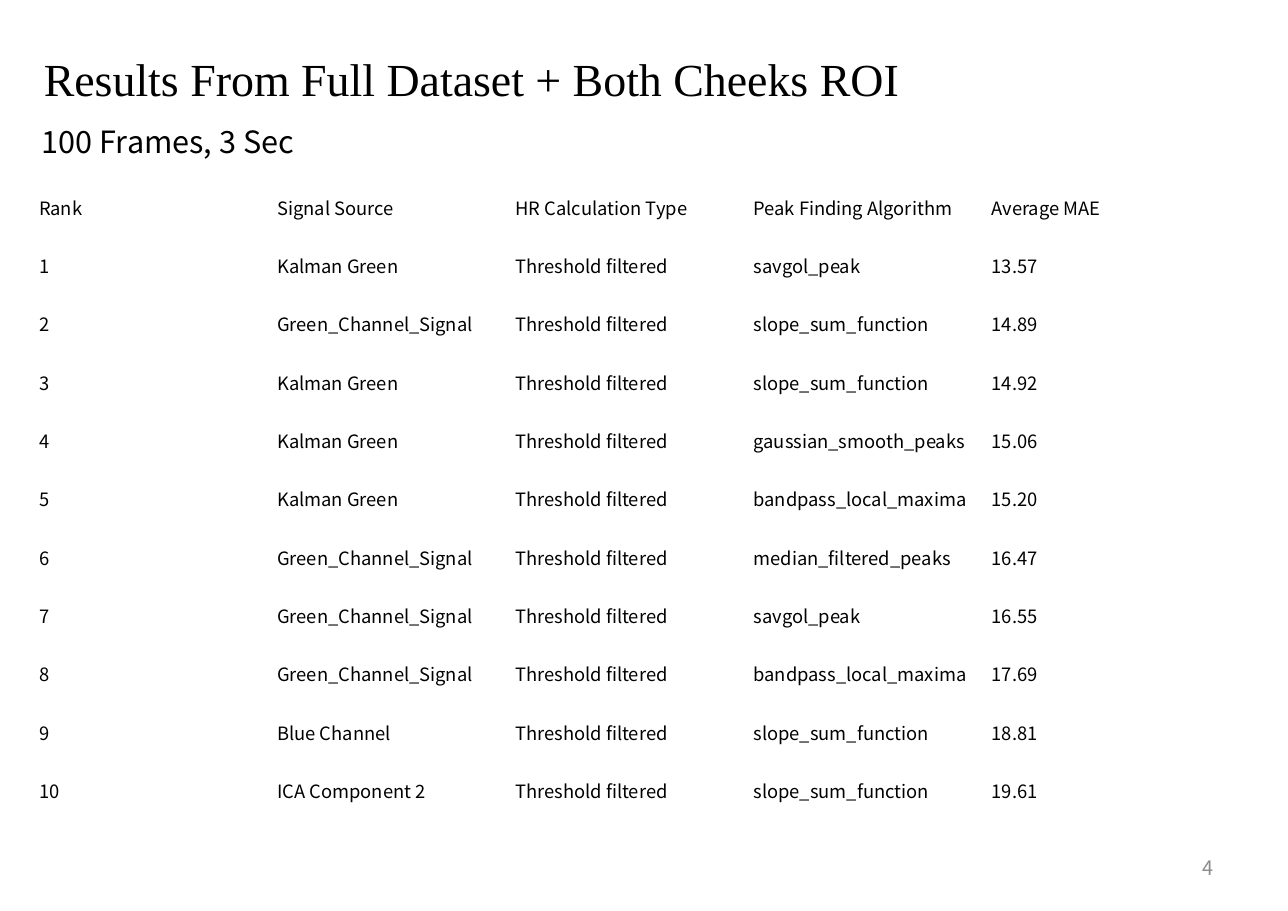
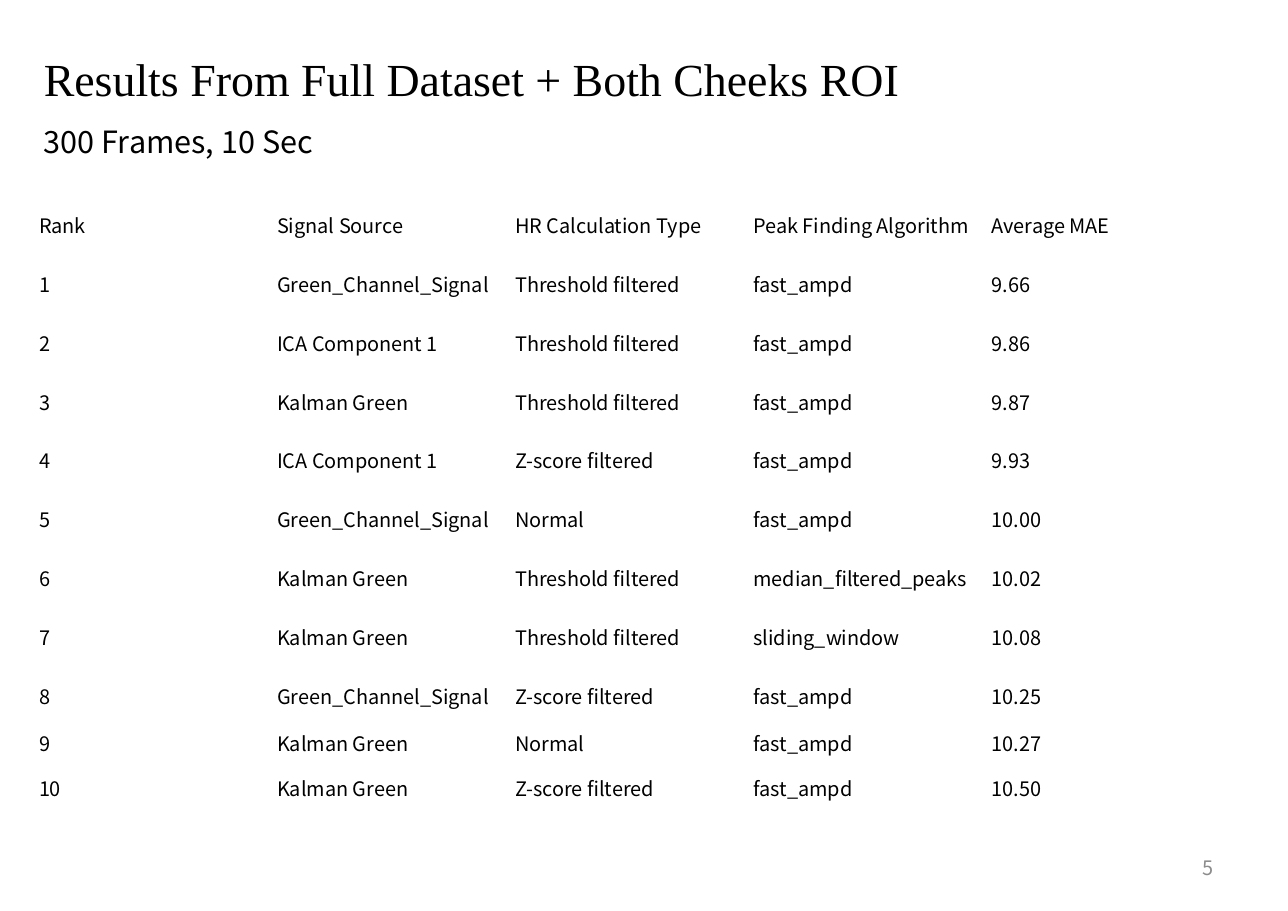
from pptx import Presentation
from pptx.dml.color import RGBColor
from pptx.enum.text import MSO_ANCHOR, MSO_AUTO_SIZE, PP_ALIGN
from pptx.util import Pt

EMU_PER_PX = 8298
PAGE_WIDTH, PAGE_HEIGHT = 1288, 911

# Shared style
SERIF = "Times New Roman"
SANS = "Noto Sans CJK KR"
BLACK = "000000"
GREY = "8C8C8C"
WHITE = "FFFFFF"

TITLE = "Results From Full Dataset + Both Cheeks ROI"
TITLE_BOX = (33, 18, 1004, 86)
NUMBER_BOX = (923, 844, 301, 48)
CELL_INSET_X, CELL_INSET_Y = 6, 3

HEADER = ("Rank", "Signal Source", "HR Calculation Type",
          "Peak Finding Algorithm", "Average MAE")
GREEN = "Green_Channel_Signal"
KALMAN = "Kalman Green"
THRESHOLD = "Threshold filtered"
ZSCORE = "Z-score filtered"

SHORT_RESULTS = [
    (KALMAN, THRESHOLD, "savgol_peak", "13.57"),
    (GREEN, THRESHOLD, "slope_sum_function", "14.89"),
    (KALMAN, THRESHOLD, "slope_sum_function", "14.92"),
    (KALMAN, THRESHOLD, "gaussian_smooth_peaks", "15.06"),
    (KALMAN, THRESHOLD, "bandpass_local_maxima", "15.20"),
    (GREEN, THRESHOLD, "median_filtered_peaks", "16.47"),
    (GREEN, THRESHOLD, "savgol_peak", "16.55"),
    (GREEN, THRESHOLD, "bandpass_local_maxima", "17.69"),
    ("Blue Channel", THRESHOLD, "slope_sum_function", "18.81"),
    ("ICA Component 2", THRESHOLD, "slope_sum_function", "19.61"),
]
LONG_RESULTS = [
    (GREEN, THRESHOLD, "fast_ampd", "9.66"),
    ("ICA Component 1", THRESHOLD, "fast_ampd", "9.86"),
    (KALMAN, THRESHOLD, "fast_ampd", "9.87"),
    ("ICA Component 1", ZSCORE, "fast_ampd", "9.93"),
    (GREEN, "Normal", "fast_ampd", "10.00"),
    (KALMAN, THRESHOLD, "median_filtered_peaks", "10.02"),
    (KALMAN, THRESHOLD, "sliding_window", "10.08"),
    (GREEN, ZSCORE, "fast_ampd", "10.25"),
    (KALMAN, "Normal", "fast_ampd", "10.27"),
    (KALMAN, ZSCORE, "fast_ampd", "10.50"),
]


def px(length):
    return round(length * EMU_PER_PX)


def color(code):
    return RGBColor.from_string(code)


def write(frame, text, size=12, font=SANS, fill=BLACK,
          align=PP_ALIGN.LEFT, spacing=1.0):
    """Put one formatted paragraph into a text frame."""
    para = frame.paragraphs[0]
    para.alignment = align
    para.line_spacing = spacing
    span = para.add_run()
    span.text = text
    span.font.name = font
    span.font.size = Pt(size)
    span.font.color.rgb = color(fill)


def add_text(page, box, text, anchor=MSO_ANCHOR.TOP, grow=False, **style):
    frame = page.shapes.add_textbox(*map(px, box)).text_frame
    frame.word_wrap = True
    frame.vertical_anchor = anchor
    if grow:
        frame.auto_size = MSO_AUTO_SIZE.SHAPE_TO_FIT_TEXT
    write(frame, text, **style)


def add_results(page, box, results, size, fixed_heights):
    """Fill the box with a ranking; rows without a fixed height share the rest."""
    left, top, width, height = box
    rows = [HEADER] + [(str(rank), *result)
                       for rank, result in enumerate(results, 1)]
    table = page.shapes.add_table(len(rows), len(HEADER), *map(px, box)).table
    table.first_row = table.horz_banding = False
    for column in table.columns:
        column.width = px(width / len(HEADER))

    free_height = height - sum(fixed_heights.values())
    shared_height = free_height / (len(rows) - len(fixed_heights))
    for index, values in enumerate(rows):
        table.rows[index].height = px(fixed_heights.get(index, shared_height))
        for cell, value in zip(table.rows[index].cells, values):
            cell.fill.background()
            cell.vertical_anchor = MSO_ANCHOR.MIDDLE
            cell.margin_left = cell.margin_right = px(CELL_INSET_X)
            cell.margin_top = cell.margin_bottom = px(CELL_INSET_Y)
            write(cell.text_frame, value, size=size)


def add_results_page(deck, number, subtitle, subtitle_left, table_box,
                     results, size, fixed_heights):
    page = deck.slides.add_slide(deck.slide_layouts[6])
    page.background.fill.solid()
    page.background.fill.fore_color.rgb = color(WHITE)
    # Title, page number and subtitle
    add_text(page, TITLE_BOX, TITLE, grow=True, size=30, font=SERIF,
             spacing=1.5)
    add_text(page, NUMBER_BOX, str(number), anchor=MSO_ANCHOR.MIDDLE,
             size=13, fill=GREY, align=PP_ALIGN.RIGHT)
    add_text(page, (subtitle_left, 117, 406, 48), subtitle, grow=True, size=20)
    # Ranking
    add_results(page, table_box, results, size, fixed_heights)


def main():
    deck = Presentation()
    deck.slide_width, deck.slide_height = px(PAGE_WIDTH), px(PAGE_HEIGHT)
    add_results_page(deck, 4, "100 Frames, 3 Sec", 31, (33, 178, 1191, 642),
                     SHORT_RESULTS, 12, {})
    add_results_page(deck, 5, "300 Frames, 10 Sec", 33, (33, 195, 1191, 623),
                     LONG_RESULTS, 13, {9: 33})
    deck.save("out.pptx")


if __name__ == "__main__":
    main()
